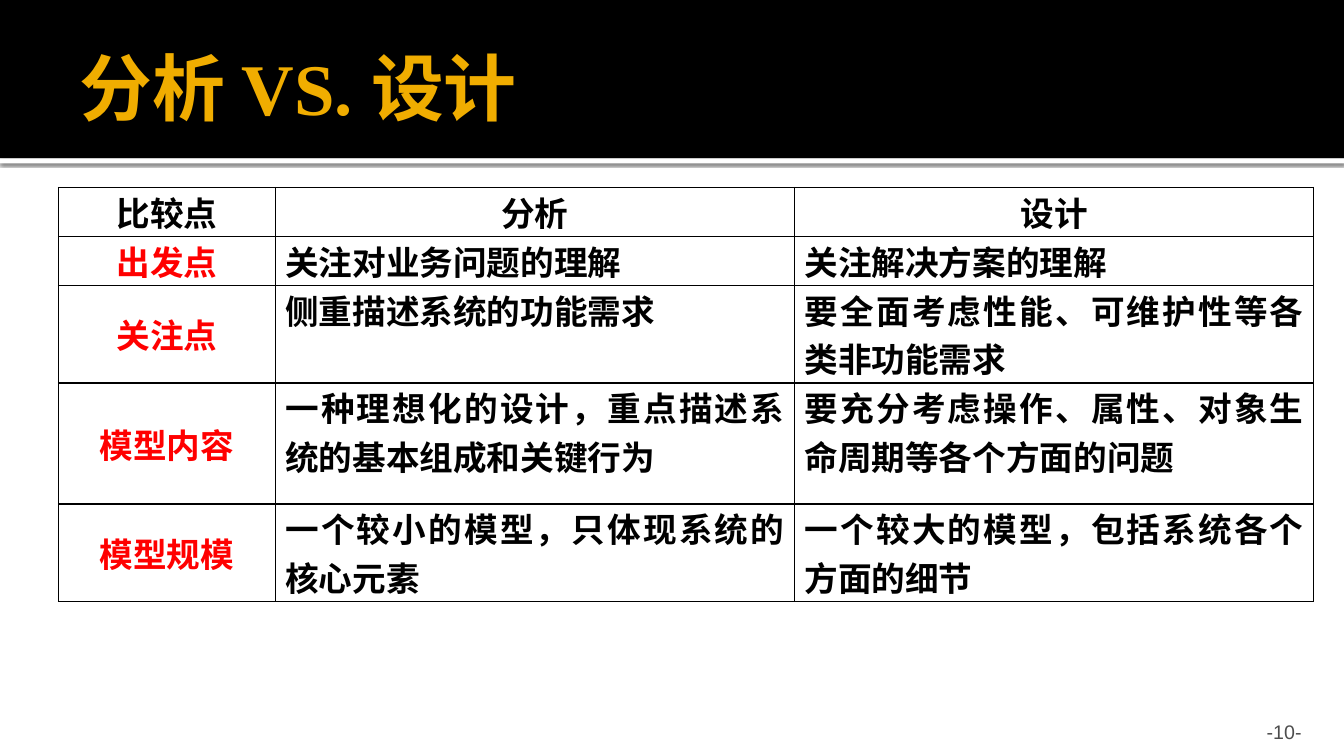
from lxml import etree
from pptx import Presentation
from pptx.dml.color import RGBColor
from pptx.enum.shapes import MSO_SHAPE
from pptx.enum.text import MSO_ANCHOR, PP_ALIGN
from pptx.oxml import parse_xml
from pptx.oxml.ns import nsdecls
from pptx.util import Inches, Pt

COLORS = {"black": "000000", "white": "FFFFFF", "gold": "F0AD00",
          "red": "FF0000", "gray": "4D4D4D"}


def style(p, font, size, color, bold, align):
    p.alignment = align
    p.font.name = font
    p.font.size = Pt(size)
    p.font.bold = bold
    p.font.color.rgb = RGBColor.from_string(COLORS[color])


def add_text_box(text, left, top, width, height, anchor, margins):
    tf = s.shapes.add_textbox(Inches(left), Inches(top), Inches(width), Inches(height)).text_frame
    tf.word_wrap = True
    tf.vertical_anchor = anchor
    tf.margin_left, tf.margin_top, tf.margin_right, tf.margin_bottom = map(Inches, margins)
    tf.text = text
    return tf.paragraphs[0]


prs = Presentation()
prs.slide_width = Inches(13.33)
prs.slide_height = Inches(7.5)
s = prs.slides.add_slide(prs.slide_layouts[6])

for top, height, color in [(1.57, 0.05, "white"), (0, 1.57, "black")]:
    band = s.shapes.add_shape(MSO_SHAPE.RECTANGLE, 0, Inches(top), prs.slide_width, Inches(height))
    band.shadow.inherit = False
    band.fill.solid()
    band.fill.fore_color.rgb = RGBColor.from_string(COLORS[color])
    band.line.fill.background()
    if color == "white":
        effects = band._element.spPr.find("{*}effectLst")
        effects.append(parse_xml(
            f'<a:outerShdw {nsdecls("a")} blurRad="{Pt(2.5)}" dist="{Pt(0.8)}" dir="5400000">'
            f'<a:srgbClr val="{COLORS["black"]}"><a:alpha val="60000"/></a:srgbClr></a:outerShdw>'))

p = add_text_box("分析 VS. 设计", 0.67, 0.17, 12, 1.37, MSO_ANCHOR.MIDDLE, (0.12, 0.06, 0.06, 0.06))
style(p, "Times New Roman", 52, "gold", True, PP_ALIGN.LEFT)

p = add_text_box("-10-", 11.96, 7.08, 1.07, 0.3, MSO_ANCHOR.BOTTOM, (0.12, 0.06, 0.12, 0))
style(p, "Arial", 14, "gray", False, PP_ALIGN.RIGHT)

rows = [
    (0.49, "比较点", "分析", "设计"),
    (0.48, "出发点", "关注对业务问题的理解", "关注解决方案的理解"),
    (0.97, "关注点", "侧重描述系统的功能需求", "要全面考虑性能、可维护性等各类非功能需求"),
    (1.2, "模型内容", "一种理想化的设计，重点描述系统的基本组成和关键行为",
     "要充分考虑操作、属性、对象生命周期等各个方面的问题"),
    (0.97, "模型规模", "一个较小的模型，只体现系统的核心元素", "一个较大的模型，包括系统各个方面的细节"),
]
table = s.shapes.add_table(len(rows), 3, Inches(0.58), Inches(1.86),
                           Inches(12.45), Inches(4.11)).table
table.first_row = False
table.horz_banding = False
for column, width in zip(table.columns, (2.15, 5.15, 5.15)):
    column.width = Inches(width)

for i, (height, *texts) in enumerate(rows):
    table.rows[i].height = Inches(height)
    for j, text in enumerate(texts):
        cell = table.cell(i, j)
        cell.margin_left = cell.margin_right = Inches(0.1)
        cell.margin_top = cell.margin_bottom = 0
        is_label = i > 0 and j == 0
        cell.vertical_anchor = MSO_ANCHOR.MIDDLE if is_label else MSO_ANCHOR.TOP
        p = cell.text_frame.paragraphs[0]
        p.text = text
        style(p, "Times New Roman", 24, "red" if is_label else "black", True,
              PP_ALIGN.CENTER if i == 0 or j == 0 else PP_ALIGN.JUSTIFY)
        tcPr = cell._tc.get_or_add_tcPr()
        for side in ("lnL", "lnR", "lnT", "lnB"):
            etree.SubElement(tcPr, f"{{{tcPr.nsmap['a']}}}{side}", w=str(Pt(1))).append(parse_xml(
                f'<a:solidFill {nsdecls("a")}><a:srgbClr val="{COLORS["black"]}"/></a:solidFill>'))
        cell.fill.background()

prs.save("out.pptx")
